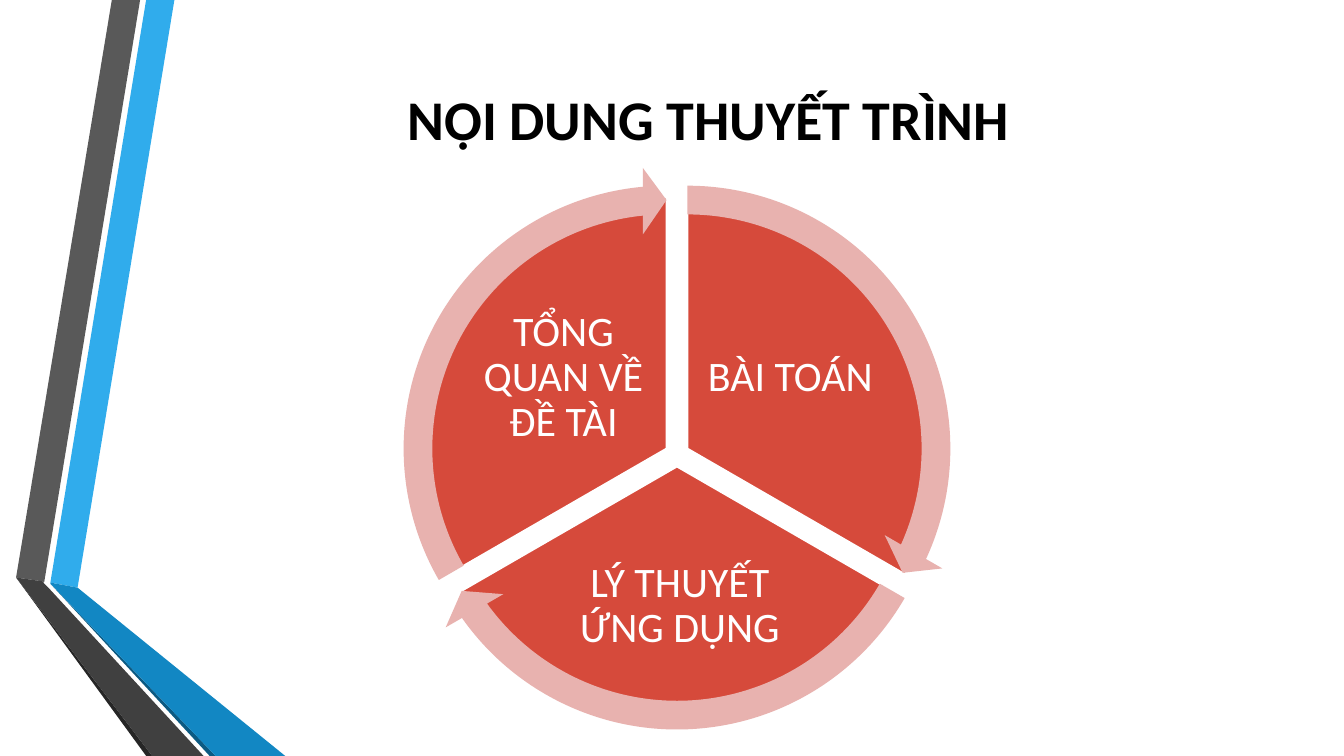
from math import cos, radians, sin

from pptx import Presentation
from pptx.dml.color import RGBColor
from pptx.enum.shapes import MSO_SHAPE
from pptx.enum.text import MSO_ANCHOR, PP_ALIGN
from pptx.util import Inches, Pt

WIDE, HIGH = Inches(13.33), Inches(7.5)
FONT = "Calibri"
RED, PINK, WHITE, BLACK = "D64A3B", "E8B2AF", "FFFFFF", "000000"
TURN = 0.6  # adjustment units per degree

# Bands in hundredths of an inch, from back to front
BANDS = [
    ("30ACEC", [(50, 578), (77, 583), (173, 0), (145, 0)]),
    ("595959", [(139, 0), (111, 0), (16, 573), (44, 577)]),
    ("262626", [(16, 573), (145, 750), (151, 750)]),
    ("0C5A82", [(50, 579), (208, 750), (214, 750)]),
    ("1287C3", [(50, 578), (50, 579), (214, 750), (283, 750), (77, 583)]),
    ("404040", [(202, 750), (48, 583), (43, 578), (44, 577), (16, 573), (151, 750)]),
]

# Label, then its centre from the hub and its size, as shares of the wheel
PARTS = [
    ("BÀI TOÁN", (0.226, -0.153), (0.357, 0.297)),
    ("LÝ THUYẾT ỨNG DỤNG", (0.006, 0.303), (0.536, 0.261)),
    ("TỔNG QUAN VỀ ĐỀ TÀI", (-0.226, -0.153), (0.357, 0.297)),
]


def tint(text):
    return RGBColor.from_string(text)


def paint(shape, fill):
    shape.shadow.inherit = False
    shape.fill.solid()
    shape.fill.fore_color.rgb = tint(fill)
    shape.line.fill.background()


def write(frame, text, size, color, bold=False):
    frame.word_wrap = True
    frame.vertical_anchor = MSO_ANCHOR.MIDDLE
    para = frame.paragraphs[0]
    para.alignment = PP_ALIGN.CENTER
    run = para.add_run()
    run.text = text
    font = run.font
    font.name, font.size, font.bold = FONT, Pt(size), bold
    font.color.rgb = tint(color)
    return para


def center(x, y, wide, high):
    """Return left, top, width and height of a box centred on x, y."""
    return [round(v) for v in (x - wide / 2, y - high / 2, wide, high)]


def ribbon(slide):
    for fill, points in BANDS:
        pen = slide.shapes.build_freeform(*points[0], scale=Inches(0.01))
        pen.add_line_segments(points[1:], close=True)
        paint(pen.convert_to_shape(), fill)


def heading(slide, left, top, wide, high):
    title = slide.shapes.title
    title.left, title.top = round(left), round(top)
    title.width, title.height = round(wide), round(high)
    write(title.text_frame, "NỘI DUNG THUYẾT TRÌNH", 40, BLACK, True)


def label(slide, box, text):
    frame = slide.shapes.add_textbox(*box).text_frame
    frame.margin_left = frame.margin_right = Inches(0.04)
    frame.margin_top = frame.margin_bottom = Inches(0.04)
    write(frame, text, 30, WHITE).line_spacing = 0.9


def wheel(slide, x, y, size):
    """Draw the sectors and their labels around hub x, y, then the arrows."""
    arcs = []
    for i, (text, (dx, dy), (wide, high)) in enumerate(PARTS):
        start, end = (270 + 120 * i) % 360, (30 + 120 * i) % 360
        mid = radians(start + 60)
        hub = x + 0.024 * size * cos(mid), y + 0.024 * size * sin(mid)
        arcs.append((hub, start, end))
        pie = slide.shapes.add_shape(MSO_SHAPE.PIE, *center(*hub, size, size))
        pie.adjustments[0], pie.adjustments[1] = start * TURN, end * TURN
        paint(pie, RED)
        pie.line.color.rgb = tint(WHITE)
        pie.line.width = Pt(1.25)
        spot = x + dx * size, y + dy * size
        label(slide, center(*spot, wide * size, high * size), text)

    span = 1.1225 * size
    for hub, start, end in arcs:
        arrow = slide.shapes.add_shape(MSO_SHAPE.CIRCULAR_ARROW, *center(*hub, span, span))
        values = 0.051, 3.275, end * TURN - 3.275, start * TURN, 0.059
        for i, value in enumerate(values):
            arrow.adjustments[i] = value
        paint(arrow, PINK)


def main():
    deck = Presentation()
    deck.slide_width, deck.slide_height = WIDE, HIGH
    slide = deck.slides.add_slide(deck.slide_layouts[5])
    ribbon(slide)
    heading(slide, 0.116 * WIDE, 0.028 * HIGH, 0.822 * WIDE, 0.256 * HIGH)
    wheel(slide, 0.5037 * WIDE, 0.6013 * HIGH, 0.664 * HIGH)
    deck.save("out.pptx")


if __name__ == "__main__":
    main()
